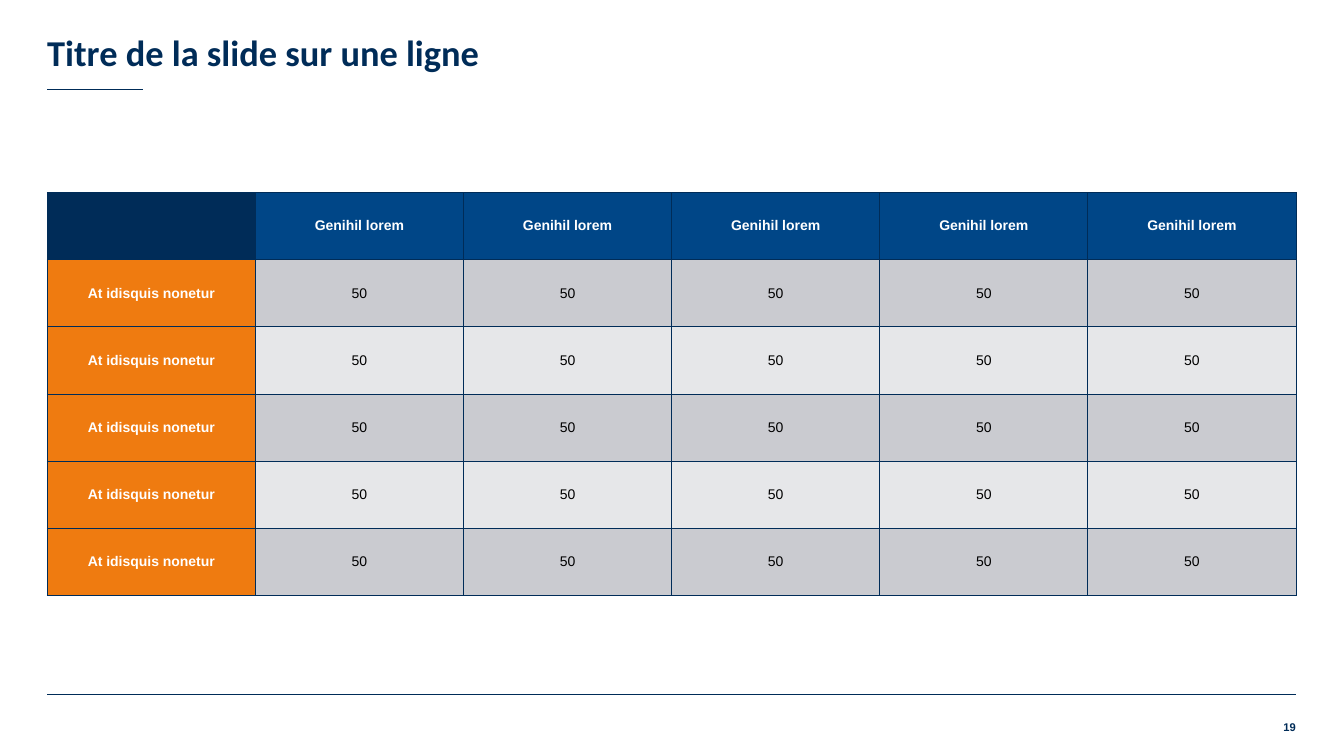
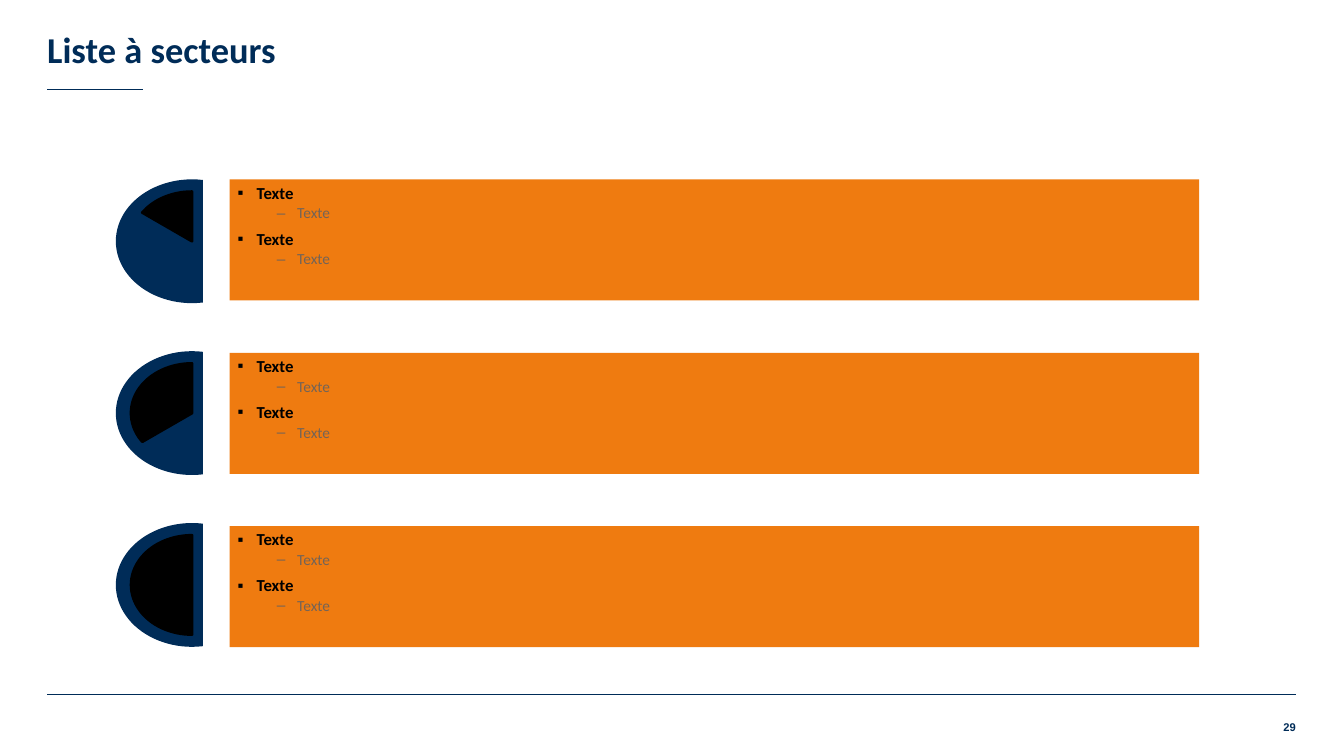
"""Build a table slide and a sector list slide in one shared style."""
from dataclasses import dataclass

from lxml import etree
from pptx import Presentation
from pptx import util as u
from pptx.dml import color
from pptx.enum import shapes, text
from pptx.oxml import ns

TABLE_PAGE = {"title": "Titre de la slide sur une ligne", "number": "19",
              "insets": (0, 0, 0, 0), "spacing": 1.0}
SECTOR_PAGE = {"title": "Liste à secteurs", "number": "29",
               "insets": (0, 0.13, 0.05, 0.05), "spacing": 0.9}

TABLE_ROWS = [[""] + ["Genihil lorem"] * 5] + [["At idisquis nonetur"] + ["50"] * 5] * 5

LIST_ITEMS = [(0, "Texte"), (1, "Texte"), (0, "Texte"), (1, "Texte")]
SECTORS = [{"start": start, "items": LIST_ITEMS} for start in (210, 150, 90)]


@dataclass(frozen=True)
class Theme:
    navy: str = "002C58"
    blue: str = "004687"
    orange: str = "EF7B10"
    dark_band: str = "CACBD0"
    light_band: str = "E6E7E9"
    taupe: str = "746457"
    black: str = "000000"
    white: str = "FFFFFF"
    heading_font: str = "Calibri"
    body_font: str = "Arial"
    title_size: float = 26
    item_size: float = 12
    subitem_size: float = 11
    cell_size: float = 10
    number_size: float = 8
    rule_width: float = 0.75
    sector_line: float = 2


THEME = Theme()
LEVELS = [
    {"size": THEME.item_size, "color": THEME.black, "bold": True,
     "bullet": "▪", "left": 0.48, "hang": 0.48, "before": 6},
    {"size": THEME.subitem_size, "color": THEME.taupe, "bold": False,
     "bullet": "–", "left": 1.5, "hang": 0.51, "before": 2},
]
SLIDE_WIDTH, SLIDE_HEIGHT = 33.87, 19.05
MARGIN, CONTENT_WIDTH = 1.19, 31.47
RIGHT = MARGIN + CONTENT_WIDTH


def rgb(value):
    return color.RGBColor.from_string(value)


def place(left, top, width, height):
    return [u.Cm(value) for value in (left, top, width, height)]


def add_child(parent, tag, **attributes):
    return etree.SubElement(parent, ns.qn(tag), **attributes)


def style_para(para, font, size, ink, bold, align=text.PP_ALIGN.LEFT):
    para.alignment = align
    for span in para.runs:
        span.font.name = font
        span.font.size = u.Pt(size)
        span.font.bold = bold
        span.font.color.rgb = rgb(ink)


def set_frame(frame, insets, anchor):
    frame.word_wrap = True
    frame.auto_size = text.MSO_AUTO_SIZE.NONE
    frame.vertical_anchor = anchor
    (frame.margin_left, frame.margin_top,
     frame.margin_right, frame.margin_bottom) = [u.Cm(inset) for inset in insets]


def add_layout_rules(page):
    for right, top in ((RIGHT, 17.5), (3.61, 2.26)):
        rule = page.shapes.add_connector(
            shapes.MSO_CONNECTOR.STRAIGHT, u.Cm(MARGIN), u.Cm(top), u.Cm(right), u.Cm(top))
        rule.line.color.rgb = rgb(THEME.navy)
        rule.line.width = u.Pt(THEME.rule_width)
        add_child(rule.element.spPr, "a:effectLst")
        page.slide_layout.shapes.element.append(rule.element)


def add_page(deck, content):
    page = deck.slides.add_slide(deck.slide_layouts.get_by_name("Title Only"))
    title = page.shapes.title
    title.left, title.top, title.width, title.height = place(MARGIN, 0, CONTENT_WIDTH, 1.85)
    title.text_frame.text = content["title"]
    set_frame(title.text_frame, content["insets"], text.MSO_ANCHOR.BOTTOM)
    para = title.text_frame.paragraphs[0]
    para.line_spacing = content["spacing"]
    style_para(para, THEME.heading_font, THEME.title_size, THEME.navy, True)

    number = page.shapes.add_textbox(*place(RIGHT - 0.99, 18.16, 0.99, 0.51))
    number.text_frame.text = content["number"]
    set_frame(number.text_frame, (0, 0, 0, 0), text.MSO_ANCHOR.TOP)
    style_para(number.text_frame.paragraphs[0], THEME.body_font, THEME.number_size,
               THEME.navy, True, text.PP_ALIGN.RIGHT)
    return page


def cell_fill(row, column):
    if row == 0:
        return THEME.blue if column else THEME.navy
    if column == 0:
        return THEME.orange
    return THEME.dark_band if row % 2 else THEME.light_band


def add_cell_borders(cell):
    properties = cell._tc.get_or_add_tcPr()
    for index, side in enumerate(("a:lnL", "a:lnR", "a:lnT", "a:lnB")):
        border = add_child(properties, side, w=str(u.Pt(THEME.rule_width)))
        add_child(add_child(border, "a:solidFill"), "a:srgbClr", val=THEME.navy)
        properties.insert(index, border)


def add_value_table(page):
    row_count, column_count = len(TABLE_ROWS), len(TABLE_ROWS[0])
    table = page.shapes.add_table(
        row_count, column_count, *place(MARGIN, 4.85, CONTENT_WIDTH, 10.16)).table
    for column in table.columns:
        column.width = u.Cm(CONTENT_WIDTH / column_count)
    for row, values in enumerate(TABLE_ROWS):
        for column, value in enumerate(values):
            cell = table.cell(row, column)
            cell.text_frame.text = value
            cell.vertical_anchor = text.MSO_ANCHOR.MIDDLE
            cell.margin_left = cell.margin_right = u.Cm(0.28)
            cell.fill.solid()
            cell.fill.fore_color.rgb = rgb(cell_fill(row, column))
            add_cell_borders(cell)
            heading = row == 0 or column == 0
            style_para(cell.text_frame.paragraphs[0], THEME.body_font, THEME.cell_size,
                       THEME.white if heading else THEME.black, heading,
                       text.PP_ALIGN.CENTER)


def add_filled_shape(page, kind, area, fill, angles=()):
    shape = page.shapes.add_shape(kind, *place(*area))
    shape.shadow.inherit = False
    shape.fill.solid()
    shape.fill.fore_color.rgb = rgb(fill)
    shape.line.fill.background()
    for index, angle in enumerate(angles):
        shape.adjustments[index] = angle * 0.6
    return shape


def fill_list(frame, items):
    set_frame(frame, (0.2, 0.13, 0.1, 0.13), text.MSO_ANCHOR.TOP)
    frame.text = "\n".join(label for _, label in items)
    for index, (para, (level, _)) in enumerate(zip(frame.paragraphs, items)):
        look = LEVELS[level]
        para.level = level
        para.line_spacing = 0.9
        para.space_before = u.Pt(look["before"] if index else 0)
        style_para(para, THEME.heading_font, look["size"], look["color"], look["bold"])
        properties = para._p.get_or_add_pPr()
        properties.set("marL", str(u.Cm(look["left"])))
        properties.set("indent", str(-u.Cm(look["hang"])))
        add_child(add_child(properties, "a:buClr"), "a:srgbClr", val=look["color"])
        add_child(properties, "a:buFont", typeface=THEME.body_font)
        add_child(properties, "a:buChar", char=look["bullet"])


def add_sector_list(page):
    left, top, width, height = 2.92, 4.52, 3.84, 3.12
    pie_width, pie_height = 3.07, 2.5
    for index, sector in enumerate(SECTORS):
        chord_top = top + index * 4.33
        add_filled_shape(page, shapes.MSO_SHAPE.CHORD, (left, chord_top, width, height),
                         THEME.navy, (80, 280))
        pie_area = (left + (width - pie_width) / 2, chord_top + (height - pie_height) / 2,
                    pie_width, pie_height)
        pie = add_filled_shape(page, shapes.MSO_SHAPE.PIE, pie_area,
                               THEME.black, (sector["start"], 270))
        pie.line.color.rgb = rgb(THEME.black)
        pie.line.width = u.Pt(THEME.sector_line)
        box = add_filled_shape(page, shapes.MSO_SHAPE.RECTANGLE,
                               (5.79, top + index * 4.37, 24.43, 3.05), THEME.orange)
        fill_list(box.text_frame, sector["items"])


def main():
    deck = Presentation()
    deck.slide_width, deck.slide_height = u.Cm(SLIDE_WIDTH), u.Cm(SLIDE_HEIGHT)
    table_page = add_page(deck, TABLE_PAGE)
    add_layout_rules(table_page)
    add_value_table(table_page)
    add_sector_list(add_page(deck, SECTOR_PAGE))
    deck.save("out.pptx")


if __name__ == "__main__":
    main()
